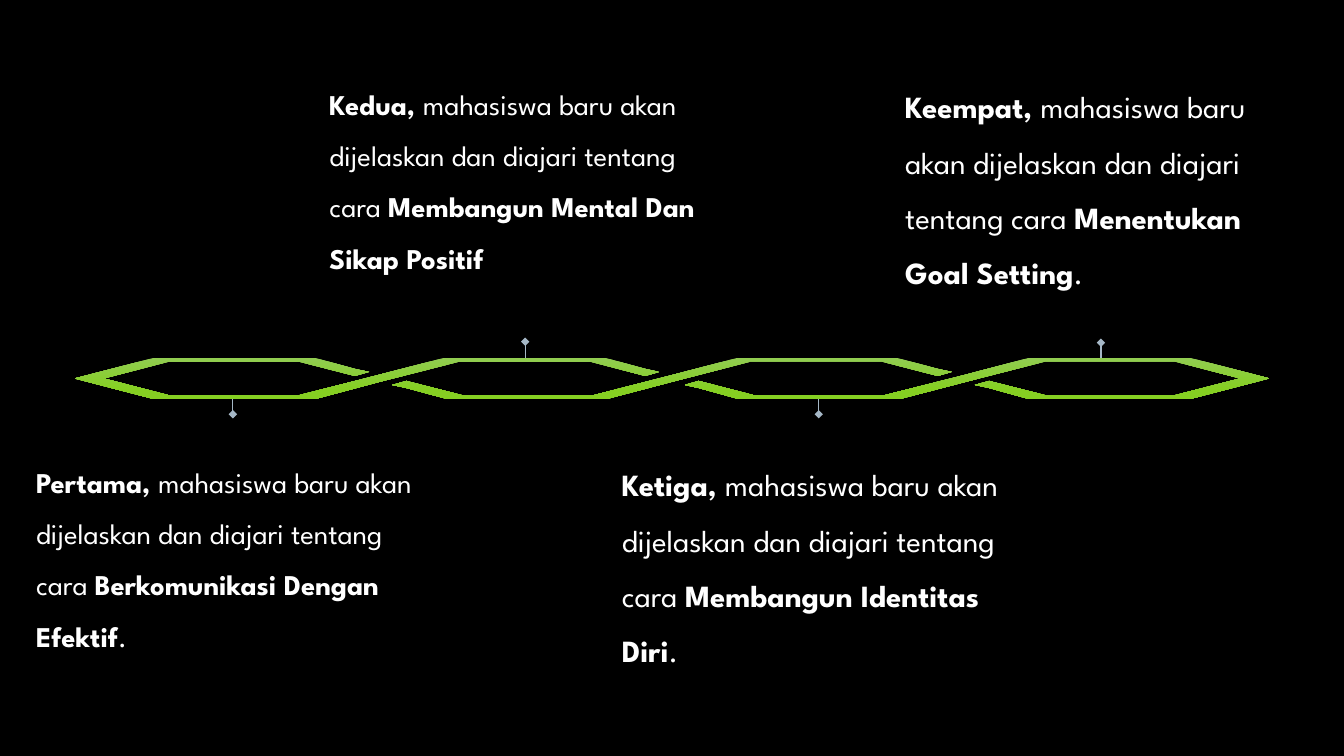
from pptx import Presentation
from pptx.dml.color import RGBColor
from pptx.enum.shapes import MSO_CONNECTOR as Connector
from pptx.enum.text import MSO_ANCHOR as Anchor
from pptx.oxml.ns import qn
from pptx.util import Inches, Pt
from lxml.etree import SubElement

deck = Presentation()
deck.slide_width, deck.slide_height = Inches(13.33), Inches(7.5)
page = deck.slides.add_slide(deck.slide_layouts[6])


def color(hex_code):
    return RGBColor.from_string(hex_code)


def place(*shares):
    """Turn alternating percentages of slide width and height into lengths."""
    sides = (deck.slide_width, deck.slide_height)
    return [round(share / 100 * sides[i % 2]) for i, share in enumerate(shares)]


# Background
page.background.fill.solid()
page.background.fill.fore_color.rgb = color("000000")

# Pins: centre, start and end as shares of the slide
for across, start, end in [
    (17.33, 52.4, 54.8),
    (60.92, 52.4, 54.8),
    (81.92, 47.73, 45.33),
    (39.08, 47.6, 45.2),
]:
    pin = page.shapes.add_connector(
        Connector.STRAIGHT, *place(across, start, across, end))
    pin.line.color.rgb = color("A5B7C6")
    pin.line.width = Pt(0.75)
    SubElement(pin.line._get_or_add_ln(), qn("a:tailEnd"), type="diamond")
    SubElement(pin._element.spPr, qn("a:effectLst"))

# Ribbon: the right strand is the left one turned half round,
# and the middle strand is made of two such halves
left_strand = [
    (11.48, 47.33), (5.55, 50.07), (11.48, 52.8), (23.41, 52.8),
    (28.21, 50.53), (34.13, 47.87), (43.96, 47.87), (48.01, 49.73),
    (49.06, 49.2), (48.01, 48.8), (45.01, 47.33), (33.08, 47.33),
    (27.16, 50.07), (22.28, 52.27), (12.53, 52.27), (7.73, 50.07),
    (12.53, 47.87), (22.28, 47.87), (26.41, 49.73), (27.46, 49.2),
    (26.41, 48.8), (23.41, 47.33),
]
middle_half = [
    (54.91, 47.33), (50.04, 49.6), (44.19, 52.27), (34.36, 52.27),
    (30.23, 50.4), (29.18, 50.93), (30.23, 51.33), (33.31, 52.8),
]
right_strand, other_half = [
    [(100 - across, 100.13 - down) for across, down in outline]
    for outline in (left_strand, middle_half)
]
for outline in (left_strand, right_strand, middle_half + other_half):
    points = [place(*point) for point in outline]
    builder = page.shapes.build_freeform(*points[0])
    builder.add_line_segments(points[1:], close=True)
    strand = builder.convert_to_shape()
    strand.shadow.inherit = False
    strand.line.fill.background()
    strand.fill.gradient()
    strand.fill.gradient_angle = 270
    for stop, position, shade in zip(
            strand.fill.gradient_stops, (0, 0.78), ("91CC51", "85CF22")):
        stop.position = position
        stop.color.rgb = color(shade)

# Texts: left, top, size, ordinal, topic, closing mark
upper, lower = 8.53, 58.53
for left, top, size, ordinal, topic, mark in [
    (1.95, lower, 20.4, "Pertama, ", "Berkomunikasi Dengan Efektif", "."),
    (23.78, upper, 20.4, "Kedua, ", "Membangun Mental Dan Sikap Positif", ""),
    (45.54, lower, 22, "Ketiga, ", "Membangun Identitas Diri", "."),
    (66.62, upper, 22, "Keempat, ", "Menentukan Goal Setting", "."),
]:
    box = page.shapes.add_textbox(*place(left, top, 30.68, 33.07))
    box.text_frame.word_wrap = True
    box.text_frame.vertical_anchor = Anchor.TOP
    para = box.text_frame.paragraphs[0]
    para.line_spacing = 1.5
    para.space_before = Pt(10)
    sentence = "mahasiswa baru akan dijelaskan dan diajari tentang cara "
    for words, bold in [
            (ordinal, True), (sentence, False), (topic, True), (mark, False)]:
        if words:
            span = para.add_run()
            span.text = words
            span.font.name = "League Spartan"
            span.font.size = Pt(size)
            span.font.bold = bold
            span.font.color.rgb = color("FFFFFF")

deck.save("out.pptx")
